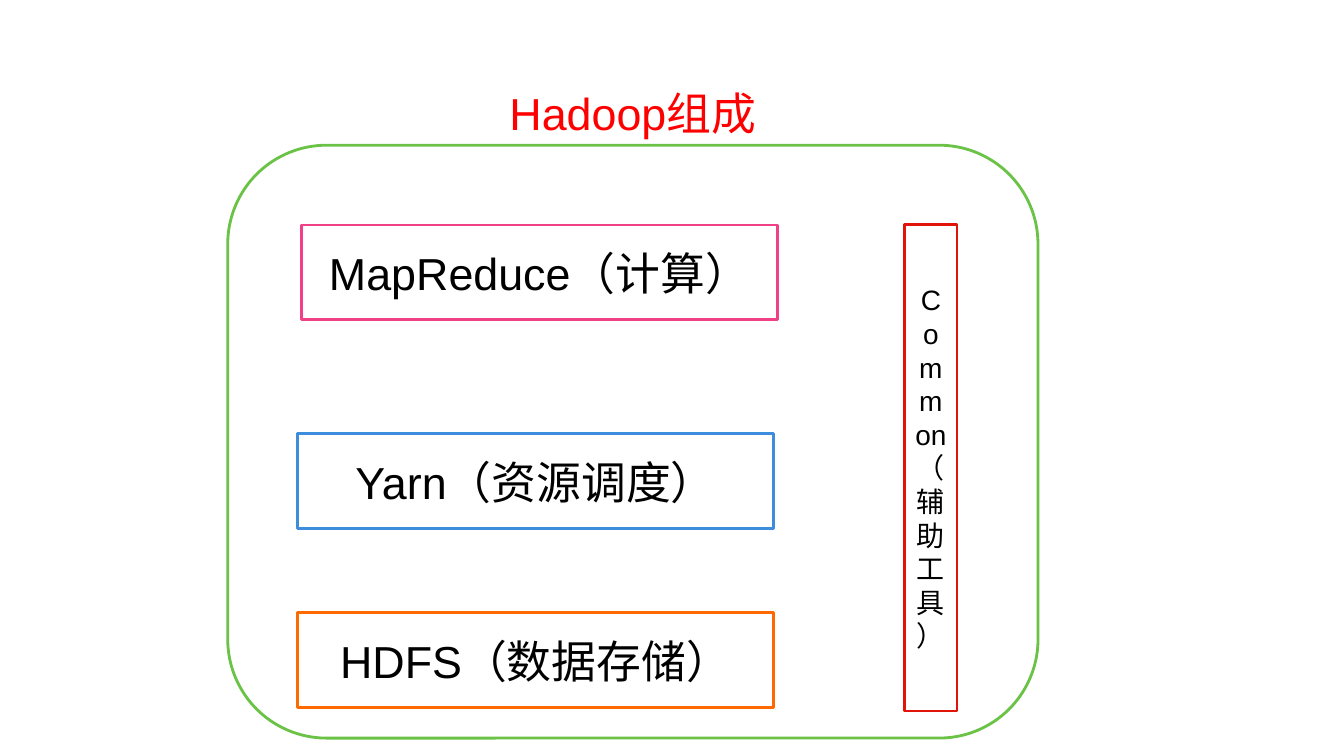
from pptx import Presentation
from pptx.dml.color import RGBColor
from pptx.enum import shapes, text
from pptx.util import Cm, Pt

COLORS = {
    "white": "FFFFFF", "black": "000000", "title": "FF0000", "green": "6AC346",
    "pink": "F04187", "orange": "FF6A00", "blue": "3E8DDD", "red": "E1140A",
}
KIND = shapes.MSO_SHAPE

deck = Presentation()
deck.slide_width, deck.slide_height = Cm(33.87), Cm(19.05)
slide = deck.slides.add_slide(deck.slide_layouts[6])


def write(frame, words, size, color):
    """Put one centred paragraph into a text frame."""
    para = frame.paragraphs[0]
    para.text = words
    para.alignment = text.PP_ALIGN.CENTER
    para.font.name = "Arial"
    para.font.size = Pt(size)
    para.font.color.rgb = RGBColor.from_string(COLORS[color])


def add_box(kind, area, color):
    """Add a white shape with a coloured outline."""
    box = slide.shapes.add_shape(kind, *map(Cm, area))
    box.shadow.inherit = False
    box.fill.solid()
    box.fill.fore_color.rgb = RGBColor.from_string(COLORS["white"])
    box.line.color.rgb = RGBColor.from_string(COLORS[color])
    box.line.width = Pt(2)
    return box


title = slide.shapes.add_textbox(Cm(11.45), Cm(2.03), Cm(9), Cm(1.63)).text_frame
title.word_wrap = True
title.auto_size = text.MSO_AUTO_SIZE.SHAPE_TO_FIT_TEXT
write(title, "Hadoop组成", 32, "title")

add_box(KIND.ROUNDED_RECTANGLE, (5.74, 3.66, 20.42, 14.94), "green")

parts = [
    ("MapReduce（计算）", 32, (7.6, 5.67, 12, 2.39), "pink"),
    ("HDFS（数据存储）", 32, (7.5, 15.44, 12, 2.39), "orange"),
    ("Yarn（资源调度）", 32, (7.5, 10.93, 12, 2.39), "blue"),
    ("Common（辅助工具）", 20, (22.8, 5.65, 1.32, 12.27), "red"),
]
for words, size, area, color in parts:
    frame = add_box(KIND.RECTANGLE, area, color).text_frame
    frame.word_wrap = True
    frame.vertical_anchor = text.MSO_ANCHOR.MIDDLE
    write(frame, words, size, "black")

deck.save("out.pptx")
